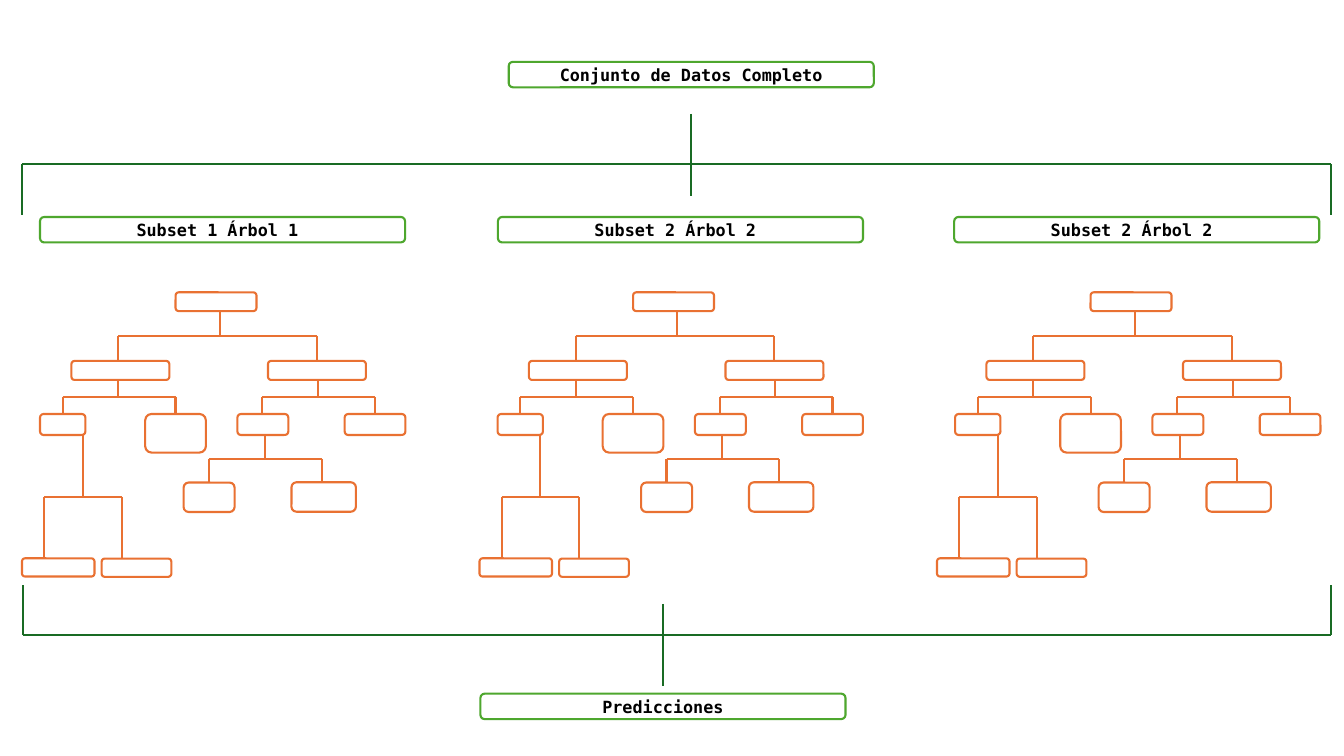
import pptx
import pptx.dml.color
import pptx.enum.shapes
import pptx.enum.text
import pptx.oxml
import pptx.oxml.ns
import pptx.util

Pt = pptx.util.Pt
COLORS = {"white": "FFFFFF", "text": "000000", "node": "E97132",
          "label": "4EA72E", "flow": "196B24"}
FONT = {"name": "DejaVu Sans Mono", "size": Pt(12), "bold": True}
FRAME = {"word_wrap": True, "margin_top": 0, "margin_bottom": 0,
         "vertical_anchor": pptx.enum.text.MSO_ANCHOR.MIDDLE}
LINE_WIDTH = 1.5

TREE_STEP = 326.8
TREE_NODES = [
    (125.4, 208.8, 57.8, 13.4),
    (51, 257.8, 70, 13.6), (191.4, 257.8, 70, 13.6),
    (28.6, 295.7, 32.4, 15), (103.7, 295.7, 43.4, 27.6),
    (169.6, 295.7, 36.4, 15), (246.2, 295.7, 43.4, 15),
    (131.2, 344.7, 36.4, 21), (208.2, 344.5, 46, 21),
    (15.7, 398.8, 51.8, 13), (72.6, 399, 49.8, 13),
]
TREE_BRANCHES = [
    (157, 222, 240, 257.8, 84.4, 226.3),
    (84.4, 271.4, 283.5, 295.5, 44.8, 125.4),
    (226.9, 271.4, 283.5, 295.5, 187.3, 267.9),
    (189, 310.7, 327.8, 344.7, 149.3, 229.9),
    (59, 310.7, 355, 398.8, 31.7, 87),
]
SUBSETS = [(28.6, "Subset 1 Árbol 1 "), (355.7, "Subset 2 Árbol 2 "),
           (681.6, "Subset 2 Árbol 2 ")]


def rgb(color):
    return pptx.dml.color.RGBColor.from_string(COLORS[color])


def set_attrs(obj, values):
    for name, value in values.items():
        setattr(obj, name, value)


def set_line(sp, color):
    sp.line.color.rgb = rgb(color)
    sp.line.width = Pt(LINE_WIDTH)


def add_box(shapes, x, y, w, h, color):
    sp = shapes.add_shape(pptx.enum.shapes.MSO_SHAPE.ROUNDED_RECTANGLE,
                          Pt(x), Pt(y), Pt(w), Pt(h))
    sp.shadow.inherit = False
    sp.fill.solid()
    sp.fill.fore_color.rgb = rgb("white")
    set_line(sp, color)
    return sp


def add_label(shapes, x, y, text):
    tf = add_box(shapes, x, y, 260.8, 18.2, "label").text_frame
    set_attrs(tf, FRAME)
    p = tf.paragraphs[0]
    p.alignment = pptx.enum.text.PP_ALIGN.CENTER
    r = p.add_run()
    r.text = text
    set_attrs(r.font, FONT)
    r.font.color.rgb = rgb("text")


def add_line(shapes, x1, y1, x2, y2, color):
    sp = shapes.add_connector(pptx.enum.shapes.MSO_CONNECTOR.STRAIGHT,
                              Pt(x1), Pt(y1), Pt(x2), Pt(y2))
    set_line(sp, color)
    effects = pptx.oxml.parse_xml(
        "<a:effectLst %s/>" % pptx.oxml.ns.nsdecls("a"))
    sp._element.spPr.append(effects)


def add_bracket(shapes, bar, end, left, right, color):
    add_line(shapes, left, bar, right, bar, color)
    for x in (left, right):
        add_line(shapes, x, bar, x, end, color)


def add_tree(slide, dx):
    shapes = slide.shapes.add_group_shape().shapes
    for x, top, bar, end, left, right in TREE_BRANCHES:
        add_line(shapes, x + dx, top, x + dx, bar, "node")
        add_bracket(shapes, bar, end, left + dx, right + dx, "node")
    for x, y, w, h in TREE_NODES:
        add_box(shapes, x + dx, y, w, h, "node")


def main():
    prs = pptx.Presentation()
    prs.slide_width, prs.slide_height = Pt(960), Pt(540)
    s = prs.slides.add_slide(prs.slide_layouts[6])

    for i, (x, text) in enumerate(SUBSETS):
        add_tree(s, i * TREE_STEP)
        add_label(s.shapes, x, 155, text)

    add_line(s.shapes, 493.6, 81.4, 493.6, 139.7, "flow")
    add_bracket(s.shapes, 117.4, 153.4, 16, 950.6, "flow")
    add_label(s.shapes, 363.4, 44.2, "Conjunto de Datos Completo")

    add_line(s.shapes, 473.6, 431.3, 473.6, 489.7, "flow")
    add_bracket(s.shapes, 453.6, 417.6, 16.4, 951, "flow")
    add_label(s.shapes, 343.2, 495.5, "Predicciones")

    prs.save("out.pptx")


if __name__ == "__main__":
    main()
